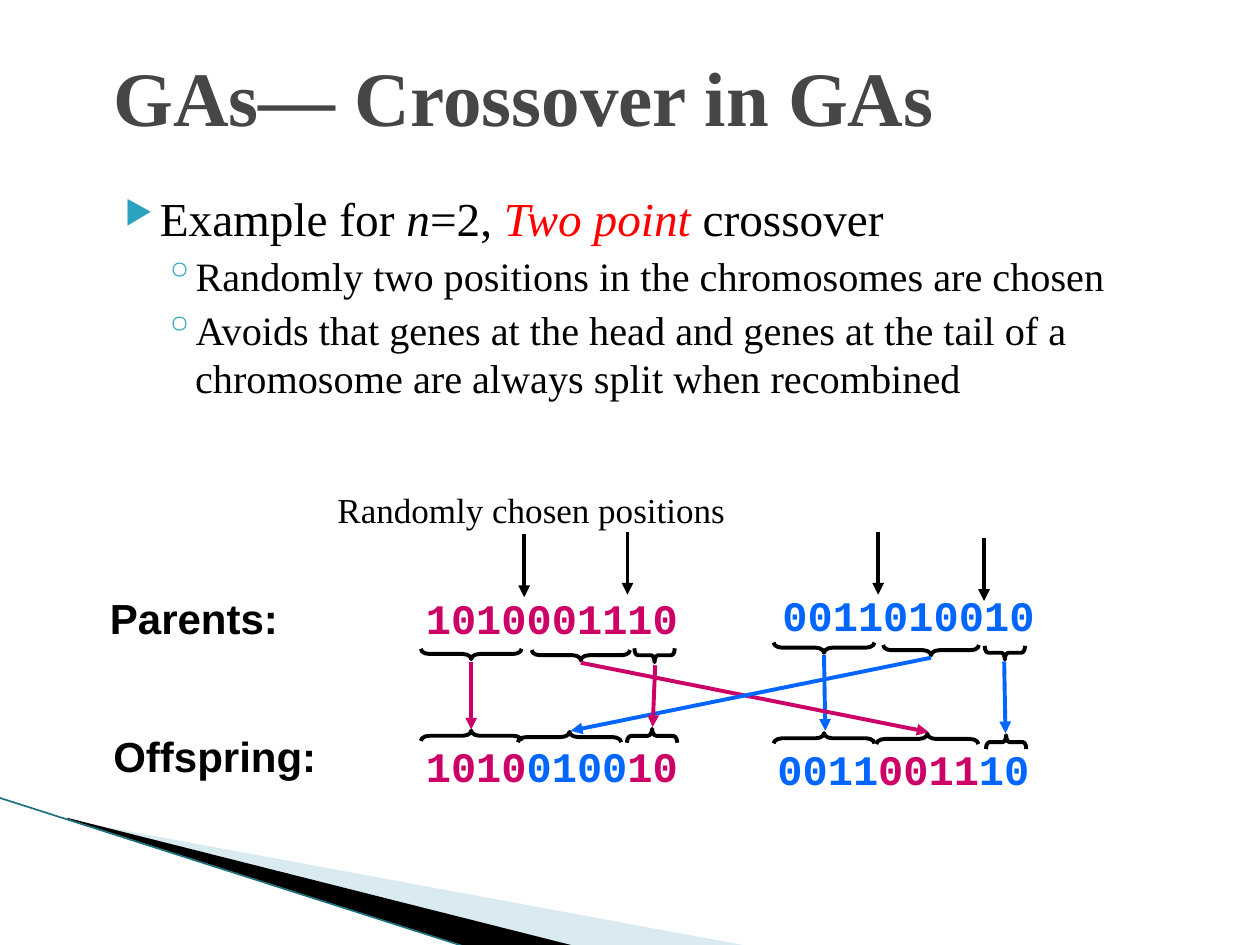
"""Build the slide on two-point crossover, laid out on a grid of 100 columns by 75 rows."""
from dataclasses import dataclass

from lxml.etree import SubElement
from pptx import Presentation
from pptx.dml.color import RGBColor
from pptx.enum.shapes import MSO_CONNECTOR as Conn, MSO_SHAPE as Shape
from pptx.enum.text import MSO_ANCHOR as Anchor, MSO_AUTO_SIZE as Fit, PP_ALIGN as Align
from pptx.oxml.ns import qn
from pptx.util import Inches, Pt

COLS, ROWS = 100, 75
UNIT = Inches(0.1)
C = {
    "black": "000000", "title": "464646", "red": "FF0000", "bullet": "2DA2BF",
    "pink": "CC0066", "blue": "0066FF", "pale": "A0CBDC", "teal": "1F7080",
}
SERIF = {"name": "Times New Roman"}
LABEL = {"name": "Arial", "size": Pt(24), "bold": True}
GENES = {"name": "Courier New", "size": Pt(24), "bold": True}


@dataclass
class Run:
    text: str
    color: str = "black"
    italic: bool = False


@dataclass
class Item:
    runs: list[Run]
    level: int
    before: float


@dataclass
class Brace:
    x: float
    y: float
    span: float
    depth: float = 0.82


@dataclass
class Arrow:
    x1: float
    y1: float
    x2: float
    y2: float
    color: str = "black"


@dataclass
class Label:
    x: float
    y: float
    width: float
    runs: list[Run]
    fmt: dict


LEVELS = [
    {"size": 27, "left": 4, "hang": 2.8, "char": "▶", "scale": 68},
    {"size": 23, "left": 6.8, "hang": 2.5, "char": "◦", "scale": 100},
]
ITEMS = [
    Item([Run("Example for "), Run("n", italic=True), Run("=2, "),
          Run("Two point", "red", True), Run(" crossover")], 0, 0),
    Item([Run("Randomly two positions in the chromosomes are chosen")], 1, 3.2),
    Item([Run("Avoids that genes at the head and genes at the tail of a "
              "chromosome are always split when recombined")], 1, 3.2),
]
LABELS = [
    Label(7.7, 46.5, 15.4, [Run("Parents:")], LABEL),
    Label(8, 57.5, 18.1, [Run("Offspring:")], LABEL),
    Label(32.8, 46.5, 22, [Run("1010001110", "pink")], GENES),
    Label(61.1, 46.3, 22, [Run("0011010010", "blue")], GENES),
    Label(32.8, 58.3, 22, [Run("1010", "pink"), Run("0100", "blue"), Run("10", "pink")], GENES),
    Label(60.7, 58.5, 22, [Run("0011", "blue"), Run("0011", "pink"), Run("10", "blue")], GENES),
]
PARENT_BRACES = [
    Brace(37.4, 51.9, 8), Brace(46.1, 52, 7.8), Brace(51.95, 52, 3.2, 1.1),
    Brace(65.4, 51.4, 8), Brace(73.9, 51.6, 7.6), Brace(79.75, 51.8, 3.2, 1.1),
]
CHILD_BRACES = [
    Brace(37.4, 58.4, 8), Brace(45.2, 58.5, 8.2), Brace(51.75, 58.4, 4, 1.1),
    Brace(65.4, 58.6, 8), Brace(73.6, 58.65, 8.1), Brace(79.85, 58.9, 3.2, 1.1),
]
CUTS = [(41.6, 42.4), (49.8, 42.2), (69.7, 42.2), (78.1, 42.7)]
ARROWS = [Arrow(x, y, x, y + 5) for x, y in CUTS] + [
    Arrow(65.4, 52, 65.5, 58, "blue"), Arrow(37.4, 52.5, 37.4, 57.9, "pink"),
    Arrow(46.1, 52.6, 73.7, 58.1, "pink"), Arrow(73.9, 52.2, 45.3, 58, "blue"),
    Arrow(52, 52.8, 51.8, 57.7, "pink"), Arrow(79.7, 52.5, 79.8, 58.2, "blue"),
]


def g(n: float) -> int:
    return round(n * UNIT)


def rgb(name: str) -> RGBColor:
    return RGBColor.from_string(C[name])


def add_runs(p, runs: list[Run], fmt: dict) -> None:
    for run in runs:
        r = p.add_run()
        r.text = run.text
        for key, value in {**fmt, "italic": run.italic}.items():
            setattr(r.font, key, value)
        r.font.color.rgb = rgb(run.color)


def add_box(s, x: float, y: float, w: float, h: float, **frame):
    tf = s.shapes.add_textbox(g(x), g(y), g(w), g(h)).text_frame
    for key, value in {"word_wrap": True, **frame}.items():
        setattr(tf, key, value)
    return tf


def add_bullet(p, level: dict) -> None:
    pPr = p._p.get_or_add_pPr()
    pPr.set("marL", str(g(level["left"])))
    pPr.set("indent", str(-g(level["hang"])))
    SubElement(SubElement(pPr, qn("a:buClr")), qn("a:srgbClr"), val=C["bullet"])
    SubElement(pPr, qn("a:buSzPct"), val=str(level["scale"] * 1000))
    SubElement(pPr, qn("a:buChar"), char=level["char"])


def add_items(s, items: list[Item]) -> None:
    tf = add_box(s, 7.7, 14.5, 90, 21.4)
    for i, item in enumerate(items):
        p = tf.add_paragraph() if i else tf.paragraphs[0]
        level = LEVELS[item.level]
        add_bullet(p, level)
        p.level, p.space_before = item.level, Pt(item.before)
        add_runs(p, item.runs, {**SERIF, "size": Pt(level["size"])})


def add_label(s, label: Label) -> None:
    tf = add_box(s, label.x, label.y, label.width, 5,
                 word_wrap=False, auto_size=Fit.SHAPE_TO_FIT_TEXT)
    tf.paragraphs[0].alignment = Align.CENTER
    add_runs(tf.paragraphs[0], label.runs, label.fmt)


def add_line(s, a: Arrow, width: float = 2.25, head: bool = True) -> None:
    line = s.shapes.add_connector(Conn.STRAIGHT, g(a.x1), g(a.y1), g(a.x2), g(a.y2))
    line.line.color.rgb, line.line.width = rgb(a.color), Pt(width)
    if head:
        SubElement(line.line._get_or_add_ln(), qn("a:tailEnd"), type="triangle")
    SubElement(line._element.spPr, qn("a:effectLst"))


def add_brace(s, b: Brace, rotation: int) -> None:
    sp = s.shapes.add_shape(Shape.LEFT_BRACE, g(b.x - b.depth / 2), g(b.y - b.span / 2),
                            g(b.depth), g(b.span))
    sp.adjustments[0] = b.span / b.depth / 12
    sp.rotation, sp.shadow.inherit = rotation, False
    sp.fill.background()
    sp.line.color.rgb, sp.line.width = rgb("black"), Pt(2.25)


def add_wedge(s, points: list[tuple], color: str, opacity: int = 100) -> None:
    start, *rest = [(g(x), g(y)) for x, y in points]
    builder = s.shapes.build_freeform(*start)
    builder.add_line_segments(rest)
    sp = builder.convert_to_shape()
    sp.shadow.inherit = False
    sp.fill.solid()
    sp.fill.fore_color.rgb = rgb(color)
    sp.line.fill.background()
    if opacity < 100:
        tint = sp._element.spPr.find(qn("a:solidFill"))[0]
        SubElement(tint, qn("a:alpha"), val=str(opacity * 1000))


def main() -> None:
    prs = Presentation()
    prs.slide_width, prs.slide_height = g(COLS), g(ROWS)
    s = prs.slides.add_slide(prs.slide_layouts[6])
    add_wedge(s, [(5.5, 65.1), (59.5, 75.1), (45.6, 75.1), (5.5, 65)], "pale", 40)
    add_wedge(s, [(5.3, 64.9), (45.7, 75.1), (37.2, 75.2), (5.4, 65)], "black")
    add_line(s, Arrow(-0.1, 63.3, 37.1, 75.2, "teal"), 0.95, head=False)
    title = add_box(s, 8, 2.1, 82.9, 11, vertical_anchor=Anchor.MIDDLE)
    add_runs(title.paragraphs[0], [Run("GAs— Crossover in GAs", "title")],
             {**SERIF, "size": Pt(44), "bold": True})
    add_items(s, ITEMS)
    for braces, rotation in ((PARENT_BRACES, 270), (CHILD_BRACES, 90)):
        for brace in braces:
            add_brace(s, brace, rotation)
    for arrow in ARROWS:
        add_line(s, arrow)
    caption = add_box(s, 25.8, 38.3, 33.4, 4.3, auto_size=Fit.SHAPE_TO_FIT_TEXT)
    add_runs(caption.paragraphs[0], [Run("Randomly chosen positions")], {**SERIF, "size": Pt(20)})
    for label in LABELS:
        add_label(s, label)
    prs.save("out.pptx")


if __name__ == "__main__":
    main()
